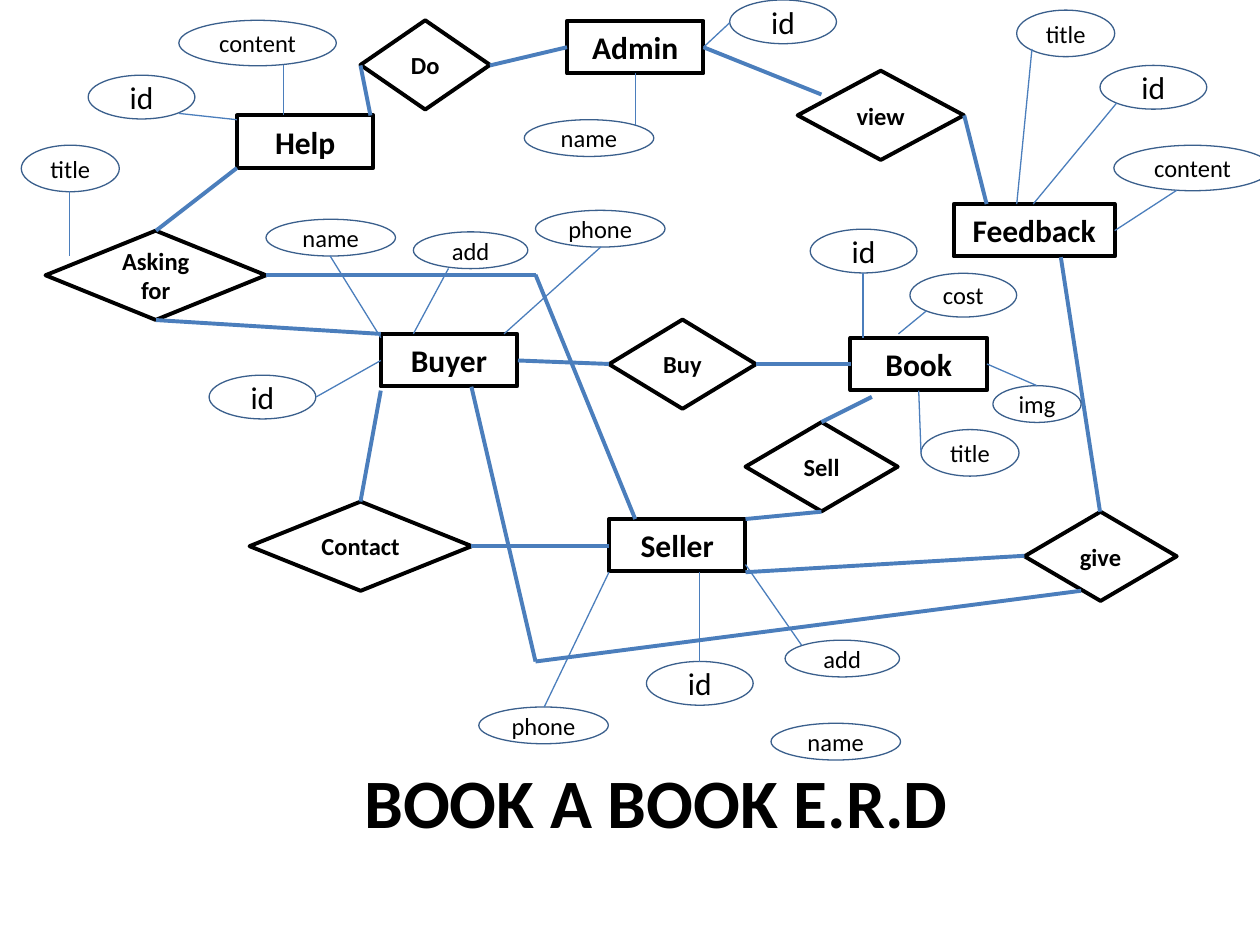
from lxml.etree import SubElement
from pptx import Presentation
from pptx.dml.color import RGBColor
from pptx.enum.shapes import MSO_CONNECTOR as Line, MSO_SHAPE as Kind
from pptx.enum.text import MSO_ANCHOR as Anchor, PP_ALIGN as Align
from pptx.oxml.ns import qn
from pptx.util import Pt

BLACK = RGBColor(0, 0, 0)
WHITE = RGBColor(255, 255, 255)
BLUE = RGBColor(0x4B, 0x7E, 0xBC)
NAVY = RGBColor(0x3A, 0x5F, 0x8C)
FONT = "Calibri"
THICK, THIN = 2.25, 0.75

ENTITIES = [
    ("Seller", 348, 296.6, 78), ("Buyer", 217.6, 190.8, 78),
    ("Book", 486, 193, 78), ("Admin", 324, 12, 78),
    ("Help", 135.4, 66, 78), ("Feedback", 545, 116.6, 92),
]
RELATIONS = [
    ("Sell", 426, 241.2, 87), ("Buy", 348, 182.6, 84),
    ("give", 585.4, 292.4, 87), ("Asking for", 26, 131.8, 126),
    ("view", 455.8, 40.4, 95), ("Do", 206, 11.6, 74),
    ("Contact", 142.6, 286.6, 127),
]
SIZES = {
    "id": (61, 25, 18), "img": (50.4, 21, 14), "cost": (61, 25, 14),
    "title": (56, 26.6, 14), "add": (65.4, 21, 14),
    "phone": (74, 21, 14), "name": (74, 21, 14), "content": (90, 26, 14),
}
PLACES = {
    "id": [(119.5, 214.4), (50.4, 43), (463, 131), (417, 0),
           (369.4, 378), (628.6, 37.4)],
    "img": [(567.4, 220.4)],
    "cost": [(520, 156.2)],
    "title": [(12.2, 83), (581, 5.8), (526.3, 245.5)],
    "add": [(448.6, 365.8), (236.2, 132.5)],
    "phone": [(273.6, 404), (306, 120.2)],
    "content": [(102.2, 11.6), (636.5, 83)],
    "name": [(152, 125.3), (440.6, 413.3), (299.6, 68.4)],
}
PATHS = [
    [(402, 27), (469.4, 54)],
    [(551, 66), (563.8, 116.6)],
    [(269.4, 221), (306, 378), (617.8, 337.6)],
    [(628.6, 292.4), (606.2, 147)],
    [(426, 327), (585.4, 317.6)],
    [(217.6, 223.2), (206, 286.6)],
    [(269.4, 312), (348, 312)],
    [(363, 296.6), (306, 157), (152, 157)],
    [(135.4, 96), (89.2, 131.8)],
    [(217.6, 190.8), (89.2, 182.9)],
    [(280, 37.4), (324, 27)],
    [(206, 37.4), (211.7, 66)],
    [(296, 206), (348, 208)],
    [(432, 208), (486, 208)],
    [(469.4, 292.4), (426, 296.6)],
    [(469.4, 241.2), (498.2, 226.8)],
]
TIES = [
    [(162, 37.4), (162, 66)],
    [(102.2, 64.8), (135.4, 68.4)],
    [(39.6, 109.4), (39.6, 146.5)],
    [(180.7, 226.8), (217.6, 206)],
    [(256.3, 153.4), (236.2, 190.8)],
    [(343.4, 141.1), (288, 190.8)],
    [(348, 327), (311, 404)],
    [(399.6, 327), (399.6, 378)],
    [(426, 322.6), (458, 368.6)],
    [(589.7, 28), (581, 116.6)],
    [(638, 59), (590.4, 116.6)],
    [(672.5, 108.7), (637, 131.8)],
    [(493.2, 156.2), (493.2, 193)],
    [(529.2, 177.8), (513.4, 190.8)],
    [(592.6, 220.4), (564, 208)],
    [(526.3, 258.5), (525, 223.2)],
    [(363, 42), (363, 71.3)],
    [(417, 13), (402, 27)],
    [(188.6, 146.2), (217.6, 193)],
]


def write(frame, text, size, bold):
    frame.word_wrap = True
    frame.vertical_anchor = Anchor.MIDDLE
    para = frame.paragraphs[0]
    para.text = text
    para.alignment = Align.CENTER
    font = para.font
    font.name, font.size, font.bold = FONT, Pt(size), bold
    font.color.rgb = BLACK


def node(slide, kind, text, box, size, bold, color, width):
    shape = slide.shapes.add_shape(kind, *map(Pt, box))
    shape.shadow.inherit = False
    shape.fill.solid()
    shape.fill.fore_color.rgb = WHITE
    shape.line.color.rgb = color
    shape.line.width = Pt(width)
    write(shape.text_frame, text, size, bold)


def path(slide, points, width):
    for start, end in zip(points, points[1:]):
        line = slide.shapes.add_connector(Line.STRAIGHT, *map(Pt, start + end))
        line.line.color.rgb = BLUE
        line.line.width = Pt(width)
        SubElement(line._element.spPr, qn("a:effectLst"))


def title(slide, text, box):
    label = slide.shapes.add_textbox(*map(Pt, box))
    write(label.text_frame, text, 39.6, True)


def main():
    deck = Presentation()
    deck.slide_width, deck.slide_height = Pt(720), Pt(540)
    slide = deck.slides.add_slide(deck.slide_layouts[6])
    for text, x, y, w in ENTITIES:
        node(slide, Kind.RECTANGLE, text, (x, y, w, 30), 18, True, BLACK, THICK)
    for text, x, y, w in RELATIONS:
        node(slide, Kind.DIAMOND, text, (x, y, w, 51), 14, True, BLACK, THICK)
    for points in PATHS:
        path(slide, points, THICK)
    for text, spots in PLACES.items():
        w, h, size = SIZES[text]
        for x, y in spots:
            node(slide, Kind.OVAL, text, (x, y, w, h), size, False, NAVY, THIN)
    for points in TIES:
        path(slide, points, THIN)
    title(slide, "BOOK A BOOK E.R.D", (51, 439, 648, 37))
    deck.save("out.pptx")


main()
